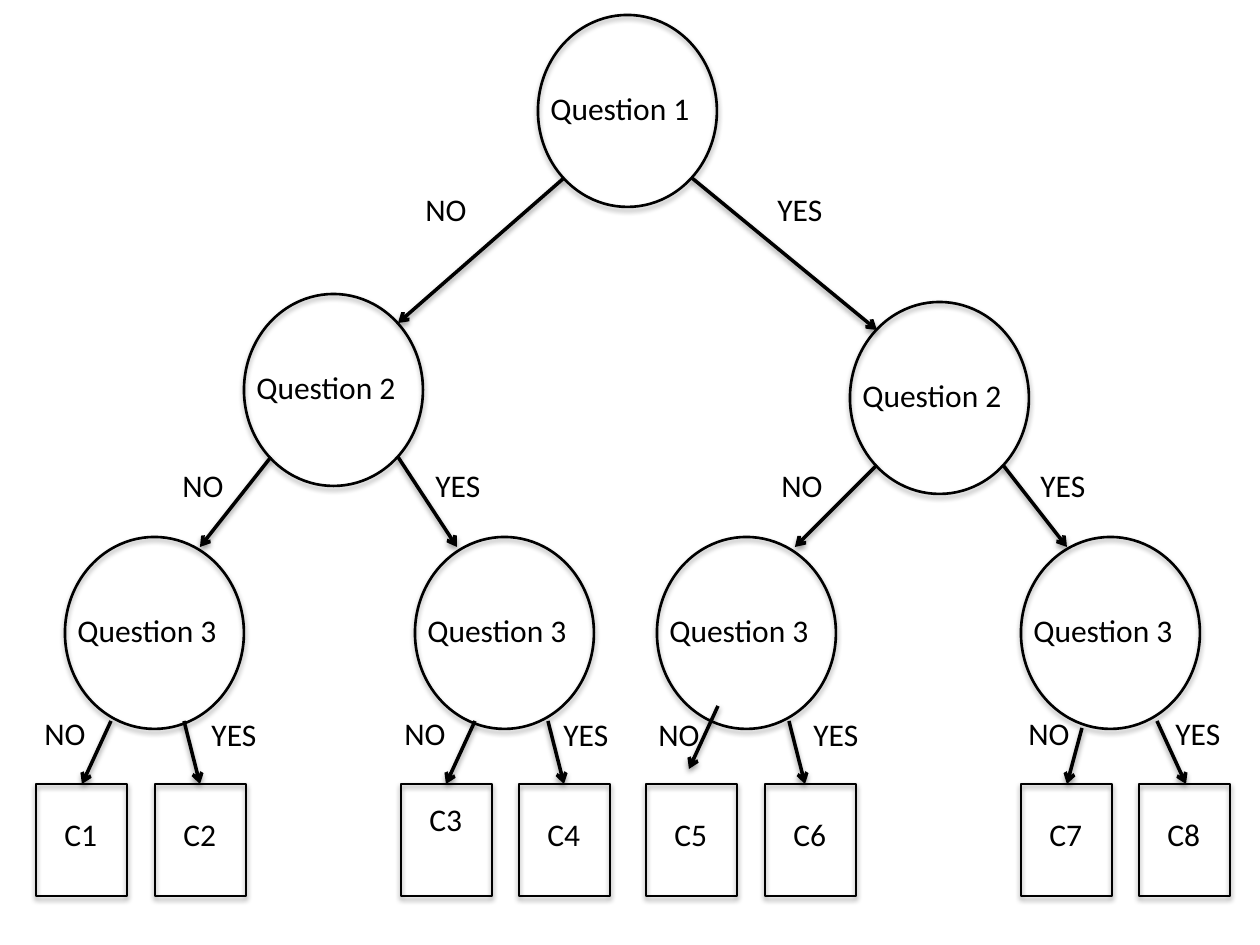
"""Build a three-level decision tree with eight outcomes."""
from dataclasses import dataclass

from lxml import etree
from pptx import Presentation
from pptx.dml.color import RGBColor
from pptx.enum import shapes, text
from pptx.oxml import ns
from pptx.util import Pt

EMU_PER_PIXEL = 914400 // 126


@dataclass(frozen=True)
class Theme:
    """Colours, type and line weights of the slide."""
    ink: RGBColor = RGBColor(0, 0, 0)
    font: str = "Calibri"
    text_size: int = 18
    outline: float = 1.5
    arrow: float = 2


@dataclass(frozen=True)
class Question:
    """A round node, placed by its top left corner."""
    level: int
    left: int
    top: int


@dataclass(frozen=True)
class Outcome:
    """A square leaf; its name may sit higher than usual."""
    name: str
    left: int
    name_top: int = 809


@dataclass(frozen=True)
class Branch:
    """An arrow between two points, with its answer beside it."""
    answer: str
    start: tuple[int, int]
    end: tuple[int, int]
    label: tuple[int, int]


THEME = Theme()
QUESTION_SIZE = (179, 192)
QUESTION_TEXT_DROP = 68
OUTCOME_SIZE = (91, 112)
OUTCOME_TOP = 784
OUTCOME_TEXT_INDENT = 16
OUTCOME_TEXT_WIDTH = 58
TEXT_HEIGHT = 50
ANSWER_WIDTHS = {"NO": 67, "YES": 72}

QUESTIONS = [
    Question(1, 538, 15),
    Question(2, 244, 294),
    Question(2, 850, 302),
    *(Question(3, left, 537) for left in (65, 415, 657, 1021)),
]
OUTCOMES = [
    Outcome("C1", 36), Outcome("C2", 155),
    Outcome("C3", 401, name_top=794), Outcome("C4", 519),
    Outcome("C5", 646), Outcome("C6", 765),
    Outcome("C7", 1021), Outcome("C8", 1139),
]
BRANCHES = [
    Branch("NO", (564, 178), (398, 323), (413, 184)),
    Branch("YES", (692, 178), (877, 330), (765, 184)),
    Branch("NO", (271, 457), (200, 547), (170, 460)),
    Branch("YES", (398, 457), (457, 547), (423, 460)),
    Branch("NO", (877, 465), (795, 547), (769, 460)),
    Branch("YES", (1003, 465), (1067, 547), (1028, 460)),
    Branch("NO", (111, 721), (82, 784), (32, 708)),
    Branch("YES", (184, 721), (200, 784), (199, 709)),
    Branch("NO", (475, 721), (446, 784), (392, 708)),
    Branch("YES", (548, 721), (564, 784), (551, 709)),
    Branch("NO", (718, 706), (689, 769), (646, 709)),
    Branch("YES", (789, 721), (805, 784), (801, 709)),
    Branch("NO", (1082, 728), (1067, 784), (1016, 708)),
    Branch("YES", (1157, 721), (1186, 784), (1163, 708)),
]


def px(*lengths: int) -> list[int]:
    """Turn pixel lengths into EMU."""
    return [length * EMU_PER_PIXEL for length in lengths]


def add_shadow(shape, distance: float, opacity: int) -> None:
    """Give a shape or connector a soft shadow straight below it."""
    effects = etree.SubElement(shape._element.spPr, ns.qn("a:effectLst"))
    shadow = etree.SubElement(
        effects, ns.qn("a:outerShdw"), blurRad=str(Pt(3.1)),
        dist=str(Pt(distance)), dir="5400000", rotWithShape="0")
    color = etree.SubElement(shadow, ns.qn("a:srgbClr"), val=str(THEME.ink))
    etree.SubElement(color, ns.qn("a:alpha"), val=str(opacity * 1000))


def add_label(page, words: str, left: int, top: int, width: int, *,
              wrap: bool = False) -> None:
    """Write one line of text at a place on the page."""
    box = page.shapes.add_textbox(*px(left, top, width, TEXT_HEIGHT))
    box.text_frame.word_wrap = wrap
    box.text_frame.auto_size = text.MSO_AUTO_SIZE.SHAPE_TO_FIT_TEXT
    span = box.text_frame.paragraphs[0].add_run()
    span.text = words
    span.font.name = THEME.font
    span.font.size = Pt(THEME.text_size)
    span.font.color.rgb = THEME.ink


def add_node(page, kind: shapes.MSO_SHAPE, left: int, top: int,
             size: tuple[int, int]) -> None:
    """Draw an unfilled, outlined node."""
    node = page.shapes.add_shape(kind, *px(left, top, *size))
    node.fill.background()
    node.line.color.rgb = THEME.ink
    node.line.width = Pt(THEME.outline)
    add_shadow(node, distance=1.8, opacity=35)


def add_question(page, question: Question) -> None:
    """Draw a question circle and its text."""
    add_node(page, shapes.MSO_SHAPE.OVAL, question.left, question.top,
             QUESTION_SIZE)
    add_label(page, f"Question {question.level}", question.left,
              question.top + QUESTION_TEXT_DROP, QUESTION_SIZE[0], wrap=True)


def add_outcome(page, outcome: Outcome) -> None:
    """Draw an outcome box and its name."""
    add_node(page, shapes.MSO_SHAPE.RECTANGLE, outcome.left, OUTCOME_TOP,
             OUTCOME_SIZE)
    add_label(page, outcome.name, outcome.left + OUTCOME_TEXT_INDENT,
              outcome.name_top, OUTCOME_TEXT_WIDTH)


def add_branch(page, branch: Branch) -> None:
    """Draw an arrow and the answer that it stands for."""
    arrow = page.shapes.add_connector(
        shapes.MSO_CONNECTOR.STRAIGHT, *px(*branch.start, *branch.end))
    arrow.line.color.rgb = THEME.ink
    arrow.line.width = Pt(THEME.arrow)
    etree.SubElement(arrow.line._get_or_add_ln(), ns.qn("a:tailEnd"),
                     type="arrow")
    add_shadow(arrow, distance=1.6, opacity=38)
    add_label(page, branch.answer, *branch.label,
              ANSWER_WIDTHS[branch.answer])


def main() -> None:
    """Build and save the deck."""
    deck = Presentation()
    deck.slide_width, deck.slide_height = px(1260, 945)
    page = deck.slides.add_slide(deck.slide_layouts[6])
    for question in QUESTIONS:
        add_question(page, question)
    for outcome in OUTCOMES:
        add_outcome(page, outcome)
    for branch in BRANCHES:
        add_branch(page, branch)
    deck.save("out.pptx")


main()
